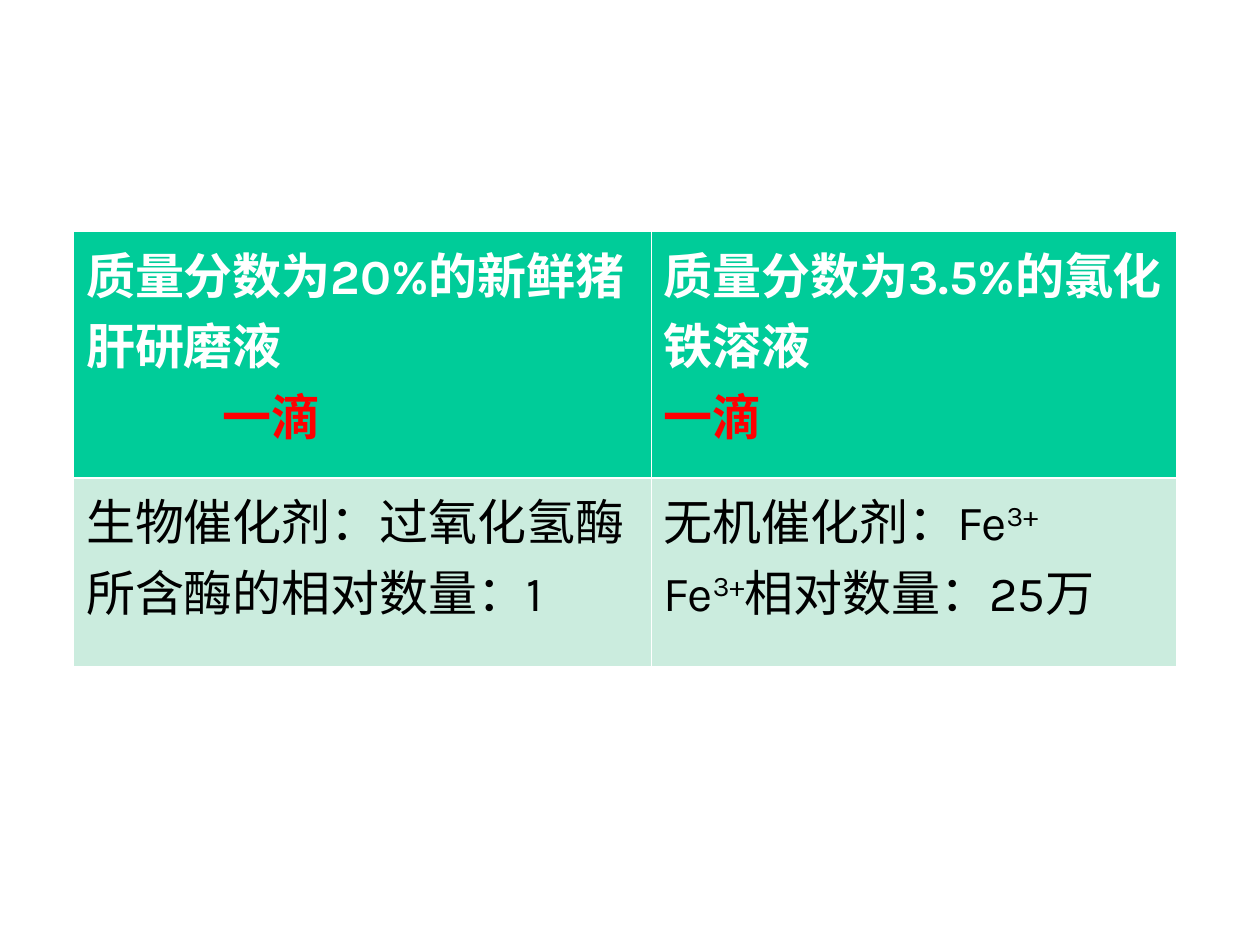
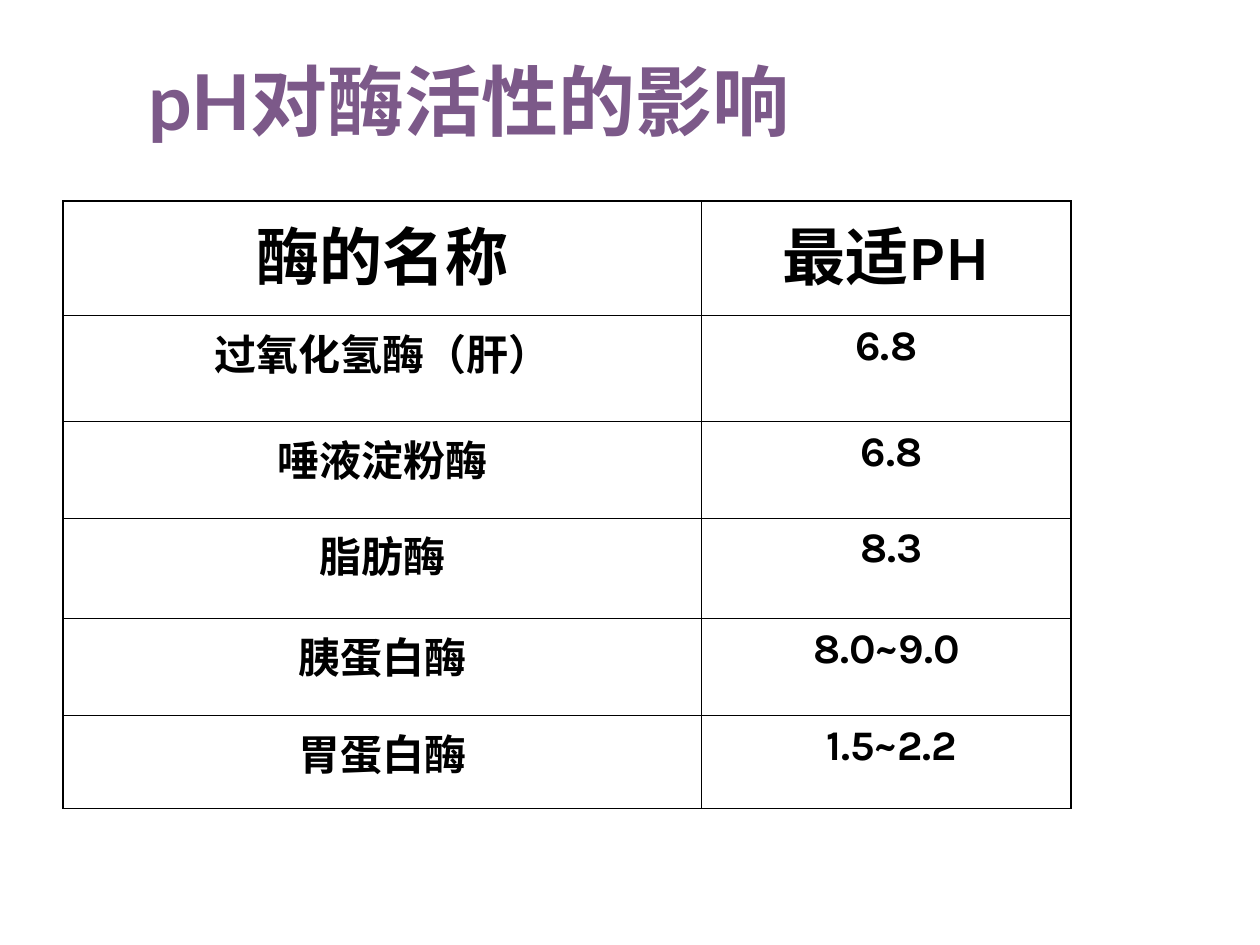
from lxml.etree import SubElement
from pptx import Presentation
from pptx.dml.color import RGBColor
from pptx.enum.text import MSO_ANCHOR as Anchor, PP_ALIGN as Align
from pptx.oxml import parse_xml
from pptx.oxml.ns import nsdecls, qn
from pptx.util import Pt

COLORS = {
    "white": "FFFFFF",
    "black": "000000",
    "red": "FF0000",
    "green": "00CC99",
    "pale_green": "CBECDE",
    "purple": "7C5989",
}
THIN, OUTER, HEADER_RULE = 0.45, 1.08, 1.47


def write(frame, text, font="Karla", size=28, color="black", bold=False,
          align=Align.LEFT, indent=0, new_paragraph=False):
    """Write one paragraph; parts between ^ marks are superscript."""
    paragraph = frame.add_paragraph() if new_paragraph else frame.paragraphs[0]
    paragraph.alignment = align
    if indent:
        paragraph._p.get_or_add_pPr().set("marL", str(Pt(indent)))
    for index, part in enumerate(text.split("^")):
        if not part:
            continue
        run = paragraph.add_run()
        run.text = part
        run.font.name = font
        run.font.size = Pt(size)
        run.font.bold = bold
        run.font.color.rgb = RGBColor.from_string(COLORS[color])
        if index % 2:
            run.font._element.set("baseline", "30000")


def make_table(slide, left, top, widths, heights, border_color, border_width):
    """Add a plain table; border_width(side, row, column) gives each line width."""
    shape = slide.shapes.add_table(len(heights), len(widths), Pt(left), Pt(top),
                                   Pt(sum(widths)), Pt(sum(heights)))
    table = shape.table
    table.first_row = table.horz_banding = False
    for column, width in zip(table.columns, widths):
        column.width = Pt(width)
    for row, height in zip(table.rows, heights):
        row.height = Pt(height)
    for row in range(len(heights)):
        for column in range(len(widths)):
            cell = table.cell(row, column)
            cell.fill.background()
            properties = cell._tc.get_or_add_tcPr()
            for position, side in enumerate("LRTB"):
                width = Pt(border_width(side, row, column))
                line = parse_xml(f'<a:ln{side} {nsdecls("a")} w="{width}"/>')
                fill = SubElement(line, qn("a:solidFill"))
                SubElement(fill, qn("a:srgbClr"), val=COLORS[border_color])
                properties.insert(position, line)
    return table


presentation = Presentation()
presentation.slide_width, presentation.slide_height = Pt(720), Pt(540)
blank = presentation.slide_layouts[6]

# Slide 1: the two catalysts
slide = presentation.slides.add_slide(blank)
table = make_table(
    slide, 42, 132, [330, 300], [141, 108], "white",
    lambda side, row, column: HEADER_RULE if (side, row) in (("B", 0), ("T", 1)) else THIN)

solutions = [("质量分数为20%的新鲜猪肝研磨液", 78), ("质量分数为3.5%的氯化铁溶液", 0)]
catalysts = [("生物催化剂：过氧化氢酶", "所含酶的相对数量：1"),
             ("无机催化剂：Fe^3+^", "Fe^3+^相对数量：25万")]
for column, ((solution, drop_indent), (catalyst, amount)) in enumerate(zip(solutions, catalysts)):
    header, body = table.cell(0, column), table.cell(1, column)
    for cell, fill_color in ((header, "green"), (body, "pale_green")):
        cell.fill.solid()
        cell.fill.fore_color.rgb = RGBColor.from_string(COLORS[fill_color])
    write(header.text_frame, solution, color="white", bold=True)
    write(header.text_frame, "一滴", color="red", bold=True,
          indent=drop_indent, new_paragraph=True)
    write(body.text_frame, catalyst)
    write(body.text_frame, amount, new_paragraph=True)

# Slide 2: optimum pH of each enzyme
slide = presentation.slides.add_slide(blank)
enzymes = [
    ("酶的名称", "最适PH", 0),
    ("过氧化氢酶（肝）", "6.8", 0),
    ("唾液淀粉酶", "6.8", 6),
    ("脂肪酶", "8.3", 6),
    ("胰蛋白酶", "8.0~9.0", 0),
    ("胃蛋白酶", "1.5~2.2", 6),
]
outer_edges = {("L", 0), ("R", 1)}
outer_rows = {("T", 0), ("B", len(enzymes) - 1)}
table = make_table(
    slide, 36, 115, [365, 211], [65.5, 60.5, 55, 57.5, 55.5, 53], "black",
    lambda side, row, column:
        OUTER if (side, column) in outer_edges or (side, row) in outer_rows else THIN)
for row, (enzyme, optimum, optimum_indent) in enumerate(enzymes):
    size = 24 if row else 36
    write(table.cell(row, 0).text_frame, enzyme, size=size, bold=True, align=Align.CENTER)
    write(table.cell(row, 1).text_frame, optimum, size=size, bold=True,
          align=Align.CENTER, indent=optimum_indent)

title = slide.shapes.add_textbox(Pt(78), Pt(24), Pt(630), Pt(66)).text_frame
title.word_wrap = True
title.vertical_anchor = Anchor.MIDDLE
write(title, "pH对酶活性的影响", font="Lato", size=44, color="purple", bold=True)

presentation.save("out.pptx")
